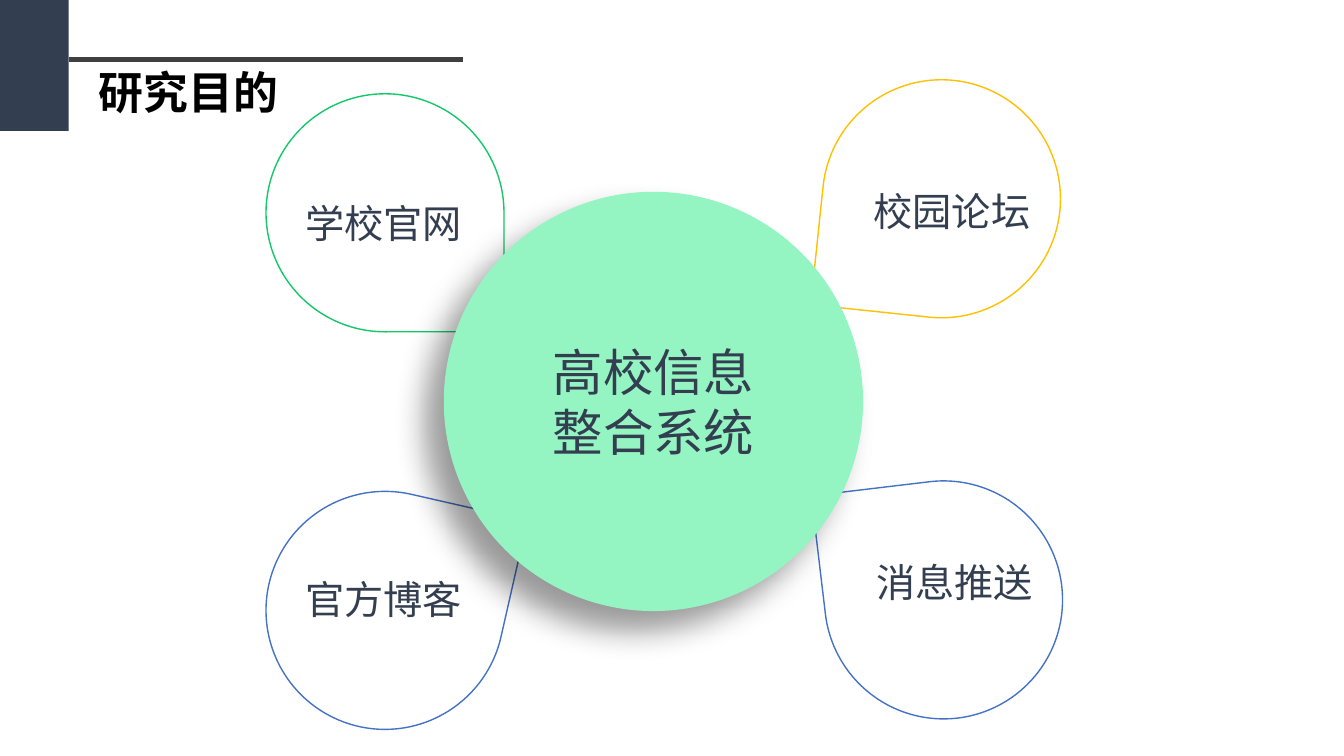
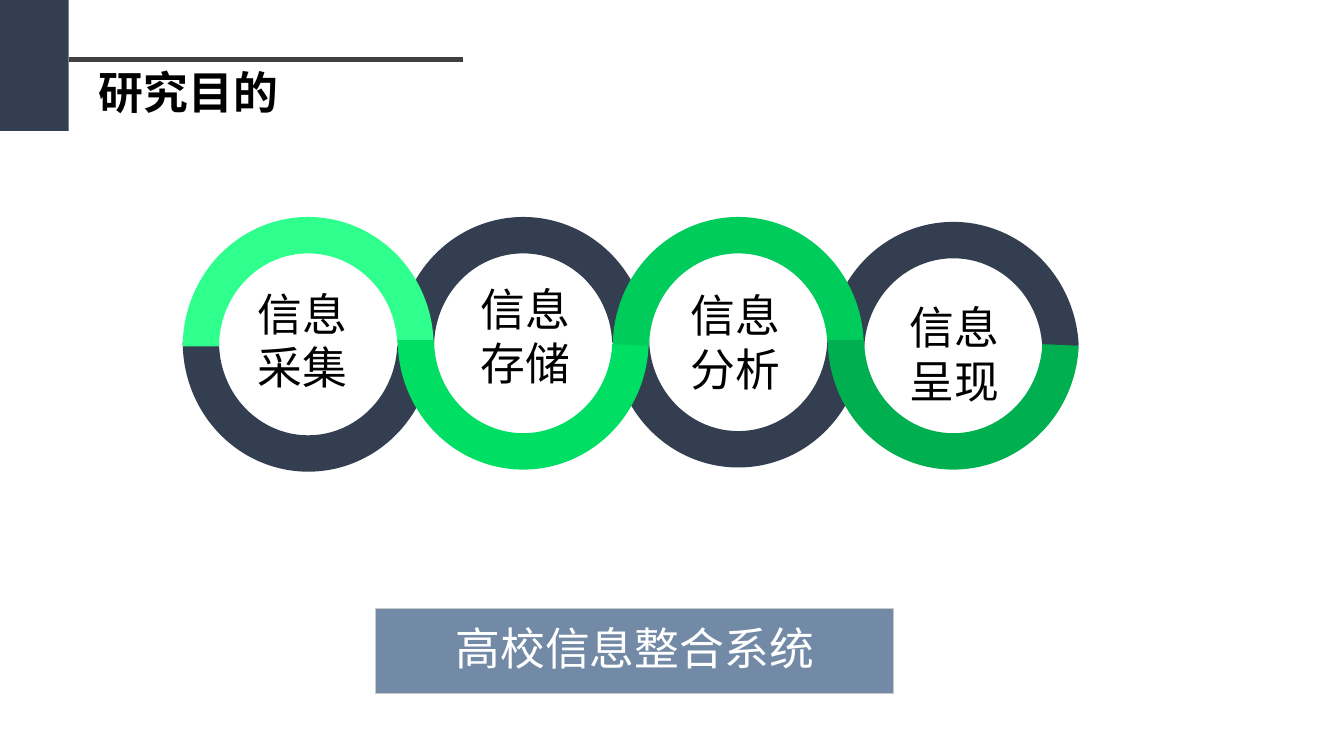
import pptx
import pptx.util
import pptx.dml.color
import pptx.enum.shapes
import pptx.enum.text
import pptx.oxml
import pptx.oxml.ns

Pt = pptx.util.Pt
SHAPE = pptx.enum.shapes.MSO_SHAPE
ANCHOR = pptx.enum.text.MSO_ANCHOR
ALIGN = pptx.enum.text.PP_ALIGN
qn = pptx.oxml.ns.qn

COLORS = {
    "navy": "333F50", "rule": "404040", "black": "000000", "white": "FFFFFF",
    "blue": "4472C4", "gold": "FFC000", "green": "12C869", "mint": "94F5C2",
    "steel": "738AA6", "silver": "C9C9C9",
    "ring1": "2FFF8D", "ring2": "00DE64", "ring3": "00CC5C", "ring4": "00B050",
}
CJK = "Noto Sans CJK SC"
TITLE = "研究目的"
SYSTEM = "高校信息整合系统"


def rgb(name):
    return pptx.dml.color.RGBColor.from_string(COLORS[name])


def set_attrs(obj, values):
    for name, value in values.items():
        setattr(obj, name, value)


def write(sp, text, size, color, font=CJK, align=ALIGN.LEFT, bold=False,
          spacing=None, **frame):
    """Fill a shape with text, one paragraph per line."""
    tf = sp.text_frame
    tf.text = text
    set_attrs(tf, {"word_wrap": True, "vertical_anchor": ANCHOR.TOP, **frame})
    for p in tf.paragraphs:
        set_attrs(p, {"alignment": align, "line_spacing": spacing})
        for r in p.runs:
            set_attrs(r.font, {"size": Pt(size), "name": font, "bold": bold})
            r.font.color.rgb = rgb(color)
            ea = pptx.oxml.parse_xml(
                f'<a:ea {pptx.oxml.ns.nsdecls("a")} typeface="{CJK}"/>')
            r.font.fill  # the fill stays ahead of the typefaces
            r._r.rPr.find(qn("a:latin")).addnext(ea)


def label(s, x, y, w, h, text, size, color, **fmt):
    sp = s.shapes.add_textbox(Pt(x), Pt(y), Pt(w), Pt(h))
    write(sp, text, size, color, **fmt)


def shape(s, kind, x, y, w, h, fill, line=None, weight=1, flip="", rotation=0):
    sp = s.shapes.add_shape(kind, Pt(x), Pt(y), Pt(w), Pt(h))
    sp.shadow.inherit = False
    sp.fill.solid()
    sp.fill.fore_color.rgb = rgb(fill)
    if line:
        sp.line.color.rgb = rgb(line)
        sp.line.width = Pt(weight)
    else:
        sp.line.fill.background()
    sp.rotation = rotation
    for axis in flip:
        sp._element.spPr.xfrm.set("flip" + axis.upper(), "1")
    return sp


def drop_shadow(sp, blur, distance, angle, alpha):
    effects = sp._element.spPr.find(qn("a:effectLst"))
    effects.append(pptx.oxml.parse_xml(
        f'<a:outerShdw {pptx.oxml.ns.nsdecls("a")} blurRad="{Pt(blur)}" '
        f'dist="{Pt(distance)}" dir="{angle * 60000}" algn="tr" '
        f'rotWithShape="0"><a:srgbClr val="{COLORS["black"]}">'
        f'<a:alpha val="{alpha * 1000}"/></a:srgbClr></a:outerShdw>'))


def titled_slide(prs, title):
    """Add a slide with the corner block, the rule and the title."""
    s = prs.slides.add_slide(prs.slide_layouts[5])
    block_w, rule_y = 49, 42.5
    shape(s, SHAPE.RECTANGLE, 0, 0, block_w, 93.6, "navy")
    set_attrs(s.shapes.title, {"left": Pt(63.4), "top": Pt(rule_y),
                               "width": Pt(320), "height": Pt(46)})
    write(s.shapes.title, title, 32, "black", bold=True)
    rule = s.shapes.add_connector(pptx.enum.shapes.MSO_CONNECTOR.STRAIGHT,
                                  Pt(block_w), Pt(rule_y), Pt(331), Pt(rule_y))
    rule.line.color.rgb = rgb("rule")
    rule.line.width = Pt(3)
    rule._element.spPr.append(pptx.oxml.parse_xml(
        f'<a:effectLst {pptx.oxml.ns.nsdecls("a")}/>'))
    return s


def petals(s, x, y):
    """Four sources around the system, placed from the region's corner."""
    size = 170
    # text, petal left and top, label offset in the petal, line, flip, rotation
    sources = [
        ("官方博客", 0, 294, 21, 56.5, "blue", "", 12.8),
        ("校园论坛", 397.5, 0, 29.5, 73.5, "gold", "hv", 6),
        ("消息推送", 399, 286.5, 30, 52, "blue", "h", 353.2),
        ("学校官网", 0, 10, 21, 71.5, "green", "v", 0),
    ]
    for text, px, py, dx, dy, line, flip, rotation in sources:
        shape(s, SHAPE.TEAR, x + px, y + py, size, size, "white", line,
              flip=flip, rotation=rotation)
        label(s, x + px + dx, y + py + dy, 127.5, 41, text, 28, "navy",
              font="Arial", word_wrap=False)
    core = shape(s, SHAPE.OVAL, x + 127, y + 80, 299.5, 299.5, "mint")
    drop_shadow(core, blur=22, distance=20, angle=135, alpha=40)
    write(core, SYSTEM, 36, "navy", font="Calibri", align=ALIGN.CENTER,
          vertical_anchor=ANCHOR.MIDDLE, margin_left=Pt(19),
          margin_right=Pt(19))


def half_ring(s, x, y, fill, flip):
    sp = shape(s, SHAPE.BLOCK_ARC, x, y, 179.3, 185, fill, flip=flip)
    for i, value in enumerate((108, 214.44, 0.145)):
        sp.adjustments[i] = value


def ring_chain(s, x, y):
    """Four linked rings: dark halves behind, bright halves alternating."""
    pitch = 153.6
    # text, font, label offset, bright fill, bright flip and top, dark top
    steps = [
        ("信息\n采集", "Calibri", 23.5, 52.5, "ring1", "", 6, 3),
        ("信息\n存储", "Calibri", 29, 49.5, "ring2", "v", 1.5, 6),
        ("信息\n分析", CJK, 25.3, 53.5, "ring3", "", 6, 0),
        ("信息\n呈现", CJK, 28, 62, "ring4", "v", 1.5, 9.5),
    ]
    placed = [(x + i * pitch, *step) for i, step in enumerate(steps)]
    for left, *_, flip, _, dark_top in placed:
        half_ring(s, left, y + dark_top, "navy", "" if flip else "v")
    for left, *_, fill, flip, top, _ in sorted(placed, key=lambda r: r[6]):
        half_ring(s, left, y + top, fill, flip)
    for left, text, font, dx, dy, *_ in placed:
        label(s, left + dx, y + dy, 124.5, 83, text, 32, "black", font=font,
              align=ALIGN.CENTER, margin_left=Pt(5), margin_right=Pt(5),
              margin_top=Pt(3), margin_bottom=Pt(3))


def banner(s, x, y, w, h):
    sp = shape(s, SHAPE.RECTANGLE, x, y, w, h, "steel", "silver", 0.75)
    write(sp, SYSTEM, 32, "white", align=ALIGN.CENTER, spacing=0.9,
          vertical_anchor=ANCHOR.MIDDLE, margin_left=Pt(17),
          margin_right=Pt(17), margin_top=0, margin_bottom=0)


def main():
    prs = pptx.Presentation()
    prs.slide_width, prs.slide_height = Pt(960), Pt(540)
    petals(titled_slide(prs, TITLE), 190, 57)
    s = titled_slide(prs, TITLE)
    ring_chain(s, 130.5, 149)
    banner(s, 268.5, 435, 370, 60.5)
    prs.save("out.pptx")


if __name__ == "__main__":
    main()
